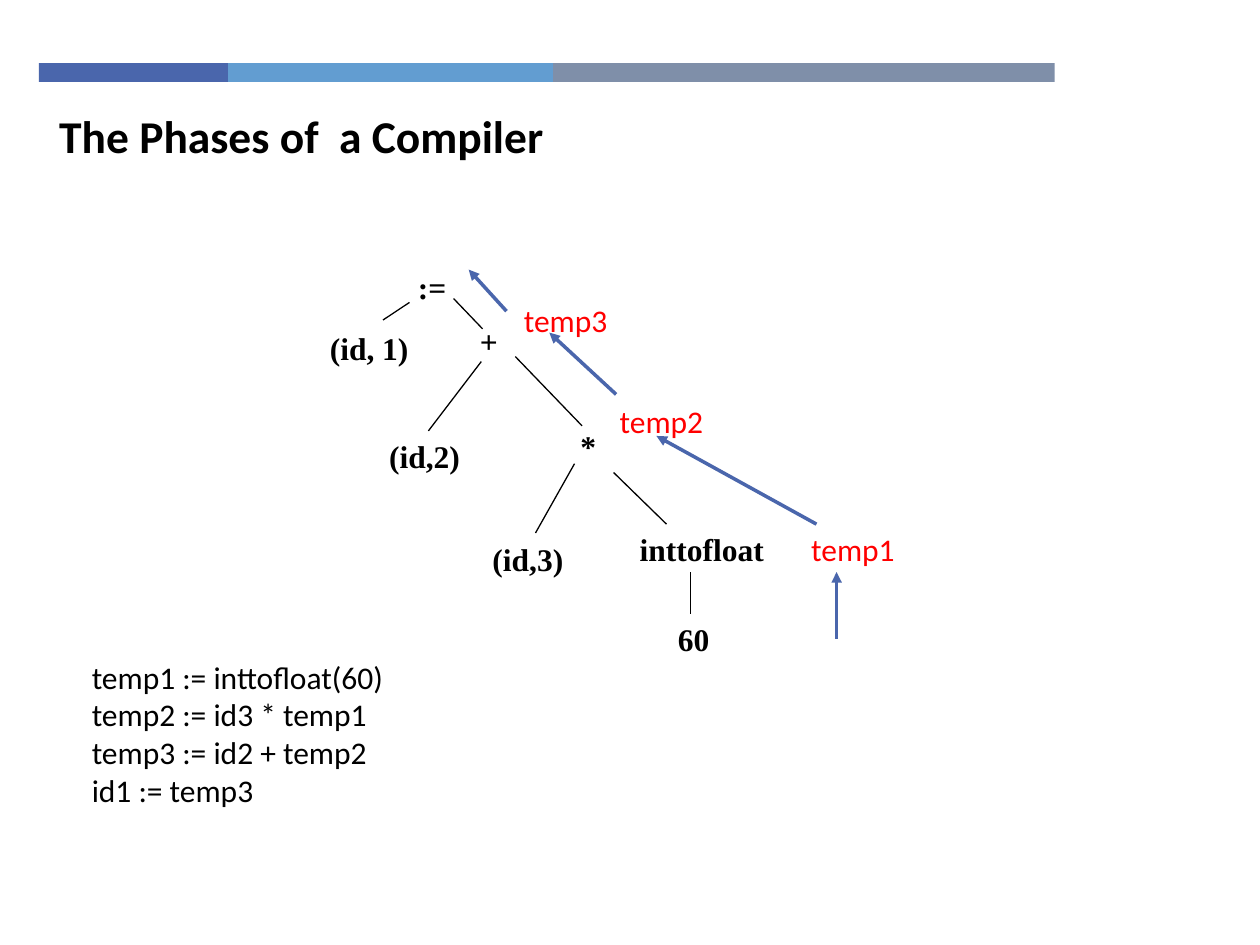
from typing import NamedTuple

from lxml import etree
from pptx import Presentation
from pptx.dml.color import RGBColor
from pptx.enum import shapes as se, text as te
from pptx.oxml import ns
from pptx.util import Inches, Pt

BLACK = RGBColor(0x00, 0x00, 0x00)
RED = RGBColor(0xFF, 0x00, 0x00)
INDIGO = RGBColor(0x4A, 0x66, 0xAC)
SKY = RGBColor(0x62, 0x9D, 0xD1)
SLATE = RGBColor(0x7F, 0x8F, 0xA9)

SERIF = "Times New Roman"
SANS = "Calibri"
LABEL_HEIGHT = 0.4


class Band(NamedTuple):
    width: float
    color: RGBColor


class Label(NamedTuple):
    text: str
    left: float
    top: float
    width: float


class Link(NamedTuple):
    x1: float
    y1: float
    x2: float
    y2: float


BANDS = [Band(1.5, INDIGO), Band(2.58, SKY), Band(3.98, SLATE)]

TREE_NODES = [
    Label("(id, 1)", 2.14, 2.56, 1.58),
    Label("(id,2)", 2.58, 3.42, 1.58),
    Label("(id,3)", 3.4, 4.24, 1.58),
    Label(":=", 3.01, 2.08, 0.84),
    Label("+", 3.46, 2.51, 0.84),
    Label("*", 4.25, 3.34, 0.84),
    Label("inttofloat", 4.94, 4.16, 1.26),
    Label("60", 5.17, 4.87, 0.67),
]

TREE_EDGES = [
    Link(3.25, 2.4, 3.04, 2.54),
    Link(3.6, 2.37, 3.83, 2.61),
    Link(3.82, 2.87, 3.4, 3.42),
    Link(4.09, 2.83, 4.62, 3.38),
    Link(4.56, 3.68, 4.25, 4.23),
    Link(4.87, 3.75, 5.29, 4.16),
    Link(5.48, 4.54, 5.48, 4.87),
]

TEMPORARIES = [
    Label("temp1", 6.34, 4.16, 0.87),
    Label("temp2", 4.82, 3.14, 0.87),
    Label("temp3", 4.06, 2.34, 0.87),
]

RESULT_ARROWS = [
    Link(6.64, 5.07, 6.64, 4.54),
    Link(6.48, 4.16, 5.21, 3.46),
    Link(4.89, 3.13, 4.36, 2.64),
    Link(4.02, 2.47, 3.72, 2.14),
]

CODE = Label(
    "temp1 := inttofloat(60)\ntemp2 := id3 * temp1\n"
    "temp3 := id2 + temp2\nid1 := temp3",
    0.63, 5.17, 2.55,
)


def style_text(frame, size: float, font: str, color: RGBColor, bold: bool,
               align=te.PP_ALIGN.LEFT) -> None:
    for paragraph in frame.paragraphs:
        paragraph.alignment = align
        for run in paragraph.runs:
            run.font.size = Pt(size)
            run.font.name = font
            run.font.bold = bold
            run.font.color.rgb = color


def add_label(slide, label: Label, font: str, color: RGBColor = BLACK,
              bold: bool = False, align=te.PP_ALIGN.LEFT,
              height: float = LABEL_HEIGHT, wrap: bool = False) -> None:
    box = slide.shapes.add_textbox(Inches(label.left), Inches(label.top),
                                   Inches(label.width), Inches(height))
    box.text_frame.word_wrap = wrap
    box.text_frame.text = label.text
    style_text(box.text_frame, 18, font, color, bold, align)


def add_link(slide, link: Link, color: RGBColor, weight: float,
             arrow: bool = False) -> None:
    line = slide.shapes.add_connector(
        se.MSO_CONNECTOR.STRAIGHT, Inches(link.x1), Inches(link.y1),
        Inches(link.x2), Inches(link.y2))
    line.line.color.rgb = color
    line.line.width = Pt(weight)
    if arrow:
        etree.SubElement(line.line._get_or_add_ln(), ns.qn("a:tailEnd"),
                         type="triangle")
    etree.SubElement(line._element.spPr, ns.qn("a:effectLst"))


def add_bands(slide, left: float, top: float, height: float) -> None:
    for band in BANDS:
        bar = slide.shapes.add_shape(
            se.MSO_SHAPE.RECTANGLE, Inches(left), Inches(top),
            Inches(band.width), Inches(height))
        bar.shadow.inherit = False
        bar.fill.solid()
        bar.fill.fore_color.rgb = band.color
        bar.line.fill.background()
        left += band.width


deck = Presentation()
deck.slide_width, deck.slide_height = Inches(10), Inches(7.5)
slide = deck.slides.add_slide(deck.slide_layouts.get_by_name("Title Only"))

# Header
add_bands(slide, left=0.31, top=0.5, height=0.15)
title = slide.shapes.title
title.left, title.top = Inches(0.37), Inches(0.8)
title.width, title.height = Inches(7.16), Inches(0.54)
title.text_frame.text = "The Phases of  a Compiler"
title.text_frame.auto_size = te.MSO_AUTO_SIZE.NONE
title.text_frame.vertical_anchor = te.MSO_ANCHOR.MIDDLE
style_text(title.text_frame, 26, SANS, BLACK, bold=True)

# Syntax tree
for node in TREE_NODES:
    add_label(slide, node, SERIF, bold=True, align=te.PP_ALIGN.CENTER, wrap=True)
for edge in TREE_EDGES:
    add_link(slide, edge, BLACK, 0.75)

# Intermediate results passed up the tree
for temporary in TEMPORARIES:
    add_label(slide, temporary, SANS, RED)
for result in RESULT_ARROWS:
    add_link(slide, result, INDIGO, 2, arrow=True)

# Generated three-address code
add_label(slide, CODE, SANS, height=1.31)

deck.save("out.pptx")
